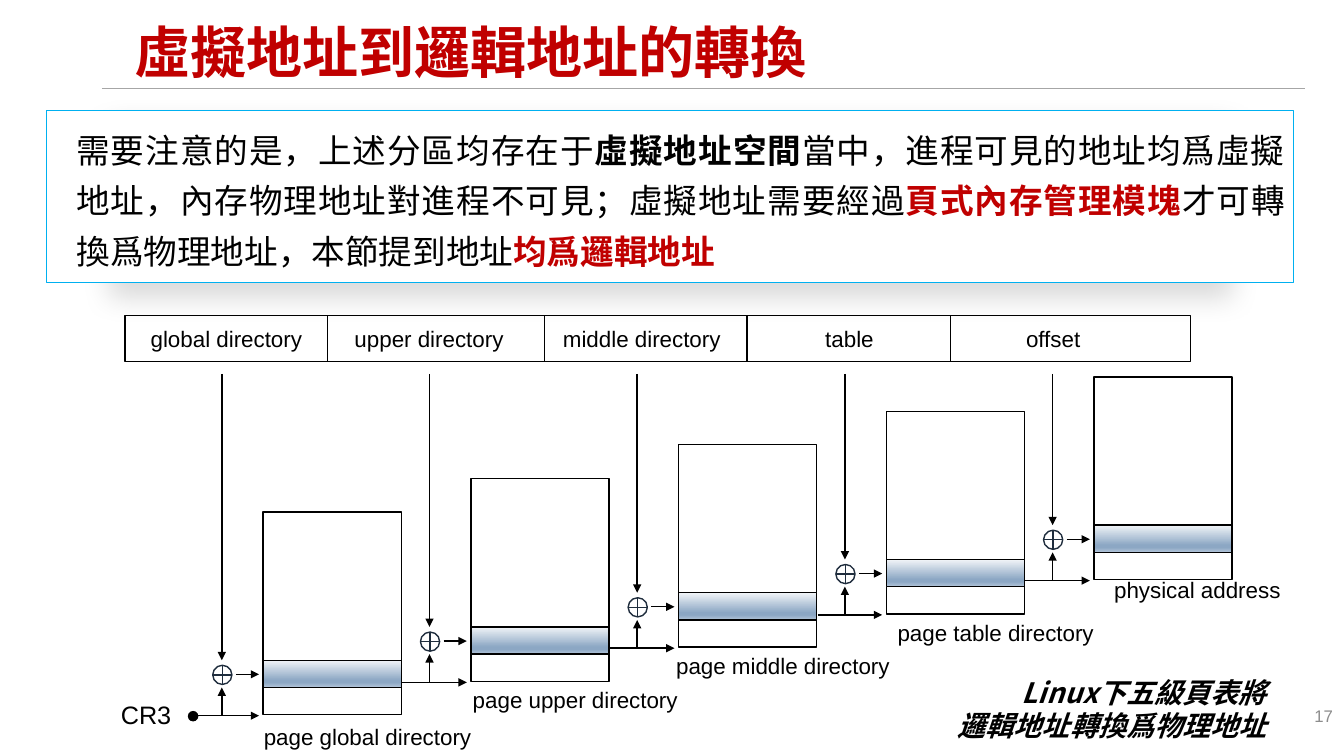
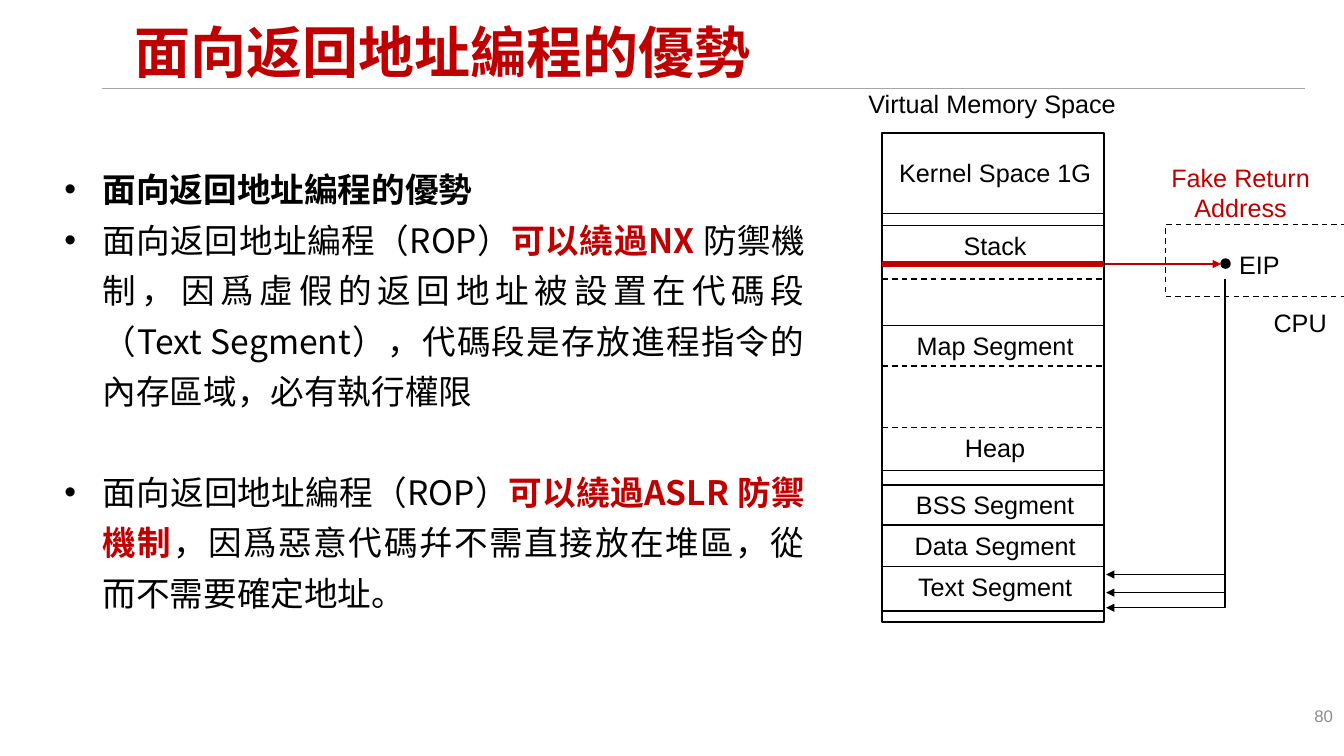
from lxml import etree
from pptx import Presentation
from pptx.dml.color import RGBColor
from pptx.enum.dml import MSO_LINE
from pptx.enum.shapes import MSO_CONNECTOR, MSO_SHAPE
from pptx.enum.text import MSO_ANCHOR, PP_ALIGN
from pptx.oxml.ns import qn
from pptx.util import Pt

SCALE = 9144
SLIDE_WIDTH, SLIDE_HEIGHT = 1333, 750
LATIN_FONT = "Arial"
CHINESE_FONT = "Noto Sans CJK SC"

BLACK = RGBColor(0x00, 0x00, 0x00)
WHITE = RGBColor(0xFF, 0xFF, 0xFF)
RED = RGBColor(0xC0, 0x00, 0x00)
CYAN = RGBColor(0x00, 0xB0, 0xF0)
NAVY = RGBColor(0x1F, 0x2D, 0x3D)
RULE_GRAY = RGBColor(0xA6, 0xA6, 0xA6)
NUMBER_GRAY = RGBColor(0x8C, 0x8C, 0x8C)
SLOT_STOPS = ((0, "F2F5F8"), (74, "8CA7C4"), (83, "8CA7C4"), (100, "B2C4D8"))

LEFT, CENTER, RIGHT, JUSTIFY = (
    PP_ALIGN.LEFT, PP_ALIGN.CENTER, PP_ALIGN.RIGHT, PP_ALIGN.JUSTIFY)
TOP, MIDDLE = MSO_ANCHOR.TOP, MSO_ANCHOR.MIDDLE
RECTANGLE, ELLIPSE, OR_GATE = (
    MSO_SHAPE.RECTANGLE, MSO_SHAPE.OVAL, MSO_SHAPE.FLOWCHART_OR)
STRAIGHT = MSO_CONNECTOR.STRAIGHT
DASH = MSO_LINE.DASH

HEADER_TOP, HEADER_BOTTOM = 313, 359
HEADER_LEFT, HEADER_WIDTH = 124, 1057
HEADER_DIVIDERS = (325, 540, 741, 943)
LABEL_WIDTH = 279
FRAME_WIDTH, FRAME_HEIGHT = 137, 201
STAGE_LEFT, STAGE_TOP, STAGE_STEP = 261, 508, 206
STAGES = (
    ("global directory", 85, "page global directory", 225, 713),
    ("upper directory", 286, "page upper directory", 431, 676),
    ("middle directory", 497, "page middle directory", 637, 642),
    ("table", 703, "page table directory", 848, 609),
    ("offset", 905, "physical address", 1048, 567),
)

MEMORY_LEFT, MEMORY_RIGHT = 875, 1095
MEMORY_WIDTH = MEMORY_RIGHT - MEMORY_LEFT
SOLID_BORDERS = (212, 224, 323, 467, 481, 521, 562, 606)
DASHED_BORDERS = (277, 363, 424)
SEGMENTS = (
    ("Kernel Space 1G", 151),
    ("Stack", 224),
    ("Map Segment", 323),
    ("Heap", 424),
    ("BSS Segment", 481),
    ("Data Segment", 521),
    ("Text Segment", 562),
)


def px(*lengths):
    """Turn px lengths into EMU."""
    return [length * SCALE for length in lengths]


def add_text(slide, paragraphs, box, size=18, color=BLACK, font=LATIN_FONT,
             bold=False, italic=False, align=CENTER, anchor=TOP, spacing=None,
             indent=0):
    """Add a text box from paragraphs, each a string or (text, colour, bold) runs."""
    frame = slide.shapes.add_textbox(*px(*box)).text_frame
    frame.word_wrap = True
    frame.vertical_anchor = anchor
    for index, content in enumerate(paragraphs):
        paragraph = frame.add_paragraph() if index else frame.paragraphs[0]
        paragraph.alignment = align
        paragraph.line_spacing = spacing
        if indent:
            add_bullet(paragraph, indent)
        runs = [(content, color, bold)] if isinstance(content, str) else content
        for text, run_color, run_bold in runs:
            run = paragraph.add_run()
            run.text = text
            run.font.size = Pt(size)
            run.font.bold = run_bold
            run.font.italic = italic
            run.font.color.rgb = run_color
            run.font.name = font
            east_asian = etree.SubElement(run.font._element, qn("a:ea"))
            east_asian.set("typeface", font)
    return frame


def add_bullet(paragraph, indent):
    """Give a paragraph a round bullet with a hanging indent."""
    properties = paragraph._p.get_or_add_pPr()
    properties.set("marL", str(indent * SCALE))
    properties.set("indent", str(-indent * SCALE))
    etree.SubElement(properties, qn("a:buFont")).set("typeface", LATIN_FONT)
    etree.SubElement(properties, qn("a:buChar")).set("char", "•")


def format_line(line, color=BLACK, width=1, dash=None, arrow=False):
    """Set a line's colour, width, dash and arrowhead."""
    line.color.rgb = color
    line.width = Pt(width)
    if dash:
        line.dash_style = dash
    if arrow:
        etree.SubElement(line._get_or_add_ln(), qn("a:tailEnd")).set("type", "triangle")


def add_shape(slide, kind, box, fill=None, **line_format):
    """Add an outlined preset shape, unfilled unless a colour is given."""
    shape = slide.shapes.add_shape(kind, *px(*box))
    shape.shadow.inherit = False
    if fill is None:
        shape.fill.background()
    else:
        shape.fill.solid()
        shape.fill.fore_color.rgb = fill
    format_line(shape.line, **line_format)
    return shape


def add_line(slide, start, end, **line_format):
    """Add a straight connector between two points."""
    connector = slide.shapes.add_connector(STRAIGHT, *px(*start, *end))
    etree.SubElement(connector._element.spPr, qn("a:effectLst"))
    format_line(connector.line, **line_format)


def add_polyline(slide, points, **line_format):
    """Add an open, unfilled path through the points."""
    builder = slide.shapes.build_freeform(*points[0], scale=SCALE)
    builder.add_line_segments(points[1:], close=False)
    shape = builder.convert_to_shape()
    shape.shadow.inherit = False
    shape.fill.background()
    format_line(shape.line, **line_format)


def fill_gradient(shape, stops):
    """Fill a shape with a gradient running from top to bottom."""
    shape.fill.gradient()
    shape.fill.gradient_angle = 270
    stop_list = shape._element.spPr.find(qn("a:gradFill")).find(qn("a:gsLst"))
    for stop in list(stop_list):
        stop_list.remove(stop)
    for position, color in stops:
        stop = etree.SubElement(stop_list, qn("a:gs"), pos=str(position * 1000))
        etree.SubElement(stop, qn("a:srgbClr"), val=color)


def add_drop_shadow(shape):
    """Give a shape a soft, narrowed shadow below it."""
    effects = shape._element.spPr.find(qn("a:effectLst"))
    shadow = etree.SubElement(
        effects, qn("a:outerShdw"), blurRad=str(Pt(20)), dist=str(Pt(10)),
        dir="5400000", sx="90000", algn="t", rotWithShape="0")
    color = etree.SubElement(shadow, qn("a:srgbClr"), val="000000")
    etree.SubElement(color, qn("a:alpha"), val="15000")


def add_base_slide(presentation, title, number):
    """Add a blank-layout slide with its title, rule and page number."""
    slide = presentation.slides.add_slide(presentation.slide_layouts[6])
    add_line(slide, (101, 88), (1294, 88), color=RULE_GRAY)
    add_text(slide, [title], (124, 15, 1118, 79), size=40, color=RED,
             font=CHINESE_FONT, bold=True, align=LEFT, anchor=MIDDLE, spacing=0.9)
    add_text(slide, [str(number)], (1021, 695, 311, 40), size=12,
             color=NUMBER_GRAY, align=RIGHT)
    return slide


def add_stage(slide, index, header, header_left, caption, caption_left, caption_top):
    """Add one step of the page-table walk."""
    left = STAGE_LEFT + STAGE_STEP * index
    top = STAGE_TOP - index * 67 // 2 if index == 0 else STAGE_TOP - (index * 67) // 2
    base, middle, gate = top + FRAME_HEIGHT + 1, top + 161, left - 41
    add_text(slide, [header], (header_left, 318, LABEL_WIDTH, 37), size=16)
    add_text(slide, [caption], (caption_left, caption_top, LABEL_WIDTH, 37), size=16)
    add_shape(slide, RECTANGLE, (left, top, FRAME_WIDTH, FRAME_HEIGHT))
    slot = add_shape(slide, RECTANGLE, (left, top + 147, FRAME_WIDTH, 27))
    fill_gradient(slot, SLOT_STOPS)
    add_shape(slide, OR_GATE, (gate - 9, middle - 9, 19, 19), color=NAVY)
    for start, end in (
        ((left - 68, base), (left - 4, base)),
        ((gate, base), (gate, base - 28)),
        ((left - 27, middle), (left - 4, middle)),
        ((gate, 371), (gate, top + 147)),
    ):
        add_line(slide, start, end, arrow=True)


def add_translation_slide(presentation):
    """Add the slide on address translation."""
    slide = add_base_slide(presentation, "虛擬地址到邏輯地址的轉換", 17)
    panel = add_shape(slide, RECTANGLE, (46, 109, 1237, 171), fill=WHITE,
                      color=CYAN, width=0.5)
    add_drop_shadow(panel)
    add_text(slide, [[
        ("需要注意的是，上述分區均存在于", BLACK, False),
        ("虛擬地址空間", BLACK, True),
        ("當中，進程可見的地址均爲虛擬地址，內存物理地址對進程不可見；"
         "虛擬地址需要經過", BLACK, False),
        ("頁式內存管理模塊", RED, True),
        ("才可轉換爲物理地址，本節提到地址", BLACK, False),
        ("均爲邏輯地址", RED, True),
    ]], (66, 114, 1218, 157), size=24, font=CHINESE_FONT, align=JUSTIFY,
        spacing=Pt(36))
    add_shape(slide, RECTANGLE,
              (HEADER_LEFT, HEADER_TOP, HEADER_WIDTH, HEADER_BOTTOM - HEADER_TOP))
    for divider in HEADER_DIVIDERS:
        add_line(slide, (divider, HEADER_TOP), (divider, HEADER_BOTTOM))
    add_shape(slide, ELLIPSE, (187, 706, 9, 9), fill=BLACK)
    add_text(slide, ["CR3"], (110, 689, 71, 40), align=LEFT)
    for index, stage in enumerate(STAGES):
        add_stage(slide, index, *stage)
    add_text(slide, ["Linux下五級頁表將", "邏輯地址轉換爲物理地址"],
             (905, 665, 361, 77), size=20, font=CHINESE_FONT, bold=True,
             italic=True, align=RIGHT)


def add_memory_map(slide):
    """Add the virtual memory column with its segments."""
    add_text(slide, ["Virtual Memory Space"], (850, 83, 268, 40))
    add_shape(slide, RECTANGLE, (MEMORY_LEFT, 132, MEMORY_WIDTH, 485))
    for borders, dash in ((SOLID_BORDERS, None), (DASHED_BORDERS, DASH)):
        for top in borders:
            add_line(slide, (MEMORY_LEFT, top), (MEMORY_RIGHT, top), dash=dash)
    for name, top in SEGMENTS:
        add_text(slide, [name], (MEMORY_LEFT + 2, top, MEMORY_WIDTH, 40))


def add_processor(slide):
    """Add the processor box and the control-flow arrows."""
    add_shape(slide, ELLIPSE, (1211, 257, 9, 9), fill=BLACK)
    add_text(slide, ["EIP"], (1219, 242, 71, 40), align=LEFT)
    add_shape(slide, RECTANGLE, (1156, 223, 204, 71), dash=DASH)
    add_text(slide, ["CPU"], (1239, 300, 101, 40))
    add_text(slide, ["Fake Return Address"], (1142, 156, 177, 71), color=RED)
    add_line(slide, (MEMORY_LEFT, 262), (MEMORY_RIGHT, 262), color=RED, width=4.5)
    add_line(slide, (MEMORY_RIGHT + 1, 262), (1211, 262), color=RED, arrow=True)
    for top in (277, 295, 310):
        bottom = top + 293
        add_polyline(slide, ((1215, top), (1215, bottom), (1097, bottom)), arrow=True)


def add_advantages_slide(presentation):
    """Add the slide on the advantages of return-oriented programming."""
    title = "面向返回地址編程的優勢"
    slide = add_base_slide(presentation, title, 80)
    frame = add_text(slide, [
        [(title, BLACK, True)],
        [("面向返回地址編程（ROP）", BLACK, False),
         ("可以繞過NX ", RED, True),
         ("防禦機制，因爲虛假的返回地址被設置在代碼段（Text Segment），"
          "代碼段是存放進程指令的內存區域，必有執行權限", BLACK, False)],
        [("面向返回地址編程（ROP）", BLACK, False),
         ("可以繞過ASLR 防禦機制", RED, True),
         ("，因爲惡意代碼幷不需直接放在堆區，從而不需要確定地址。", BLACK, False)],
    ], (54, 153, 754, 460), size=24, font=CHINESE_FONT, align=JUSTIFY,
        spacing=Pt(36), indent=38)
    frame.paragraphs[-1].space_before = Pt(36)
    add_memory_map(slide)
    add_processor(slide)


def main():
    """Build and save the presentation."""
    presentation = Presentation()
    presentation.slide_width, presentation.slide_height = px(SLIDE_WIDTH, SLIDE_HEIGHT)
    add_translation_slide(presentation)
    add_advantages_slide(presentation)
    presentation.save("out.pptx")


if __name__ == "__main__":
    main()
